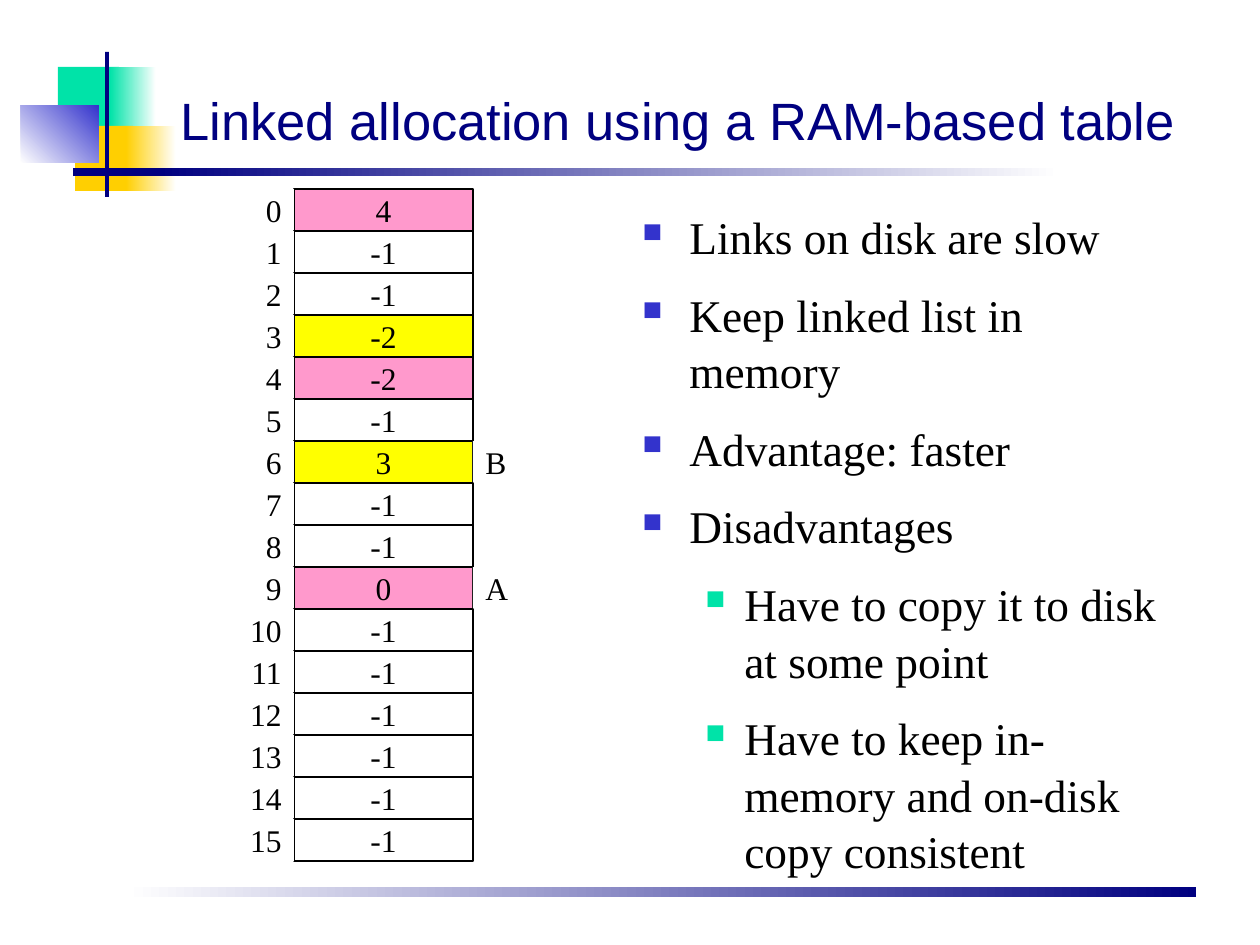
from lxml import etree
from pptx import Presentation
from pptx.dml.color import RGBColor
from pptx.enum.shapes import MSO_SHAPE
from pptx.enum.text import MSO_ANCHOR as Anchor, PP_ALIGN as Align
from pptx.oxml.ns import qn
from pptx.util import Pt

PX = 914400 / 126

WHITE = RGBColor(0xFF, 0xFF, 0xFF)
BLACK = RGBColor(0x00, 0x00, 0x00)
NAVY = RGBColor(0x00, 0x00, 0x80)
BLUE = RGBColor(0x33, 0x33, 0xCC)
GREEN = RGBColor(0x00, 0xE3, 0xA8)
GOLD = RGBColor(0xFF, 0xCF, 0x01)
PINK = RGBColor(0xFF, 0x99, 0xCC)
YELLOW = RGBColor(0xFF, 0xFF, 0x00)

prs = Presentation()
prs.slide_width, prs.slide_height = round(1260 * PX), round(945 * PX)
slide = prs.slides.add_slide(prs.slide_layouts[6])


def add_block(box, color, fade_to=None, angle=0, outline=None):
    """Rectangle in one colour, or fading from color to fade_to."""
    block = slide.shapes.add_shape(MSO_SHAPE.RECTANGLE, *(round(v * PX) for v in box))
    block.shadow.inherit = False
    if fade_to is None:
        block.fill.solid()
        block.fill.fore_color.rgb = color
    else:
        block.fill.gradient()
        block.fill.gradient_angle = angle
        for stop, stop_color in zip(block.fill.gradient_stops, (color, fade_to)):
            stop.color.rgb = stop_color
    if outline is None:
        block.line.fill.background()
    else:
        block.line.color.rgb = outline
        block.line.width = Pt(0.75)
    return block


def write(frame, text, font="Times New Roman", size=18, color=BLACK, align=Align.LEFT,
          anchor=Anchor.MIDDLE, wrap=False, bullet=None, indent=(0, 0), gap=0, spacing=None):
    """Add one paragraph, filling the empty first one if there is one."""
    frame.word_wrap = wrap
    frame.vertical_anchor = anchor
    first = not frame.text
    para = frame.paragraphs[0] if first else frame.add_paragraph()
    if bullet is not None:
        props = para._p.get_or_add_pPr()
        props.set("marL", str(round(indent[0] * PX)))
        props.set("indent", str(round(indent[1] * PX)))
        bullet_color = etree.SubElement(props, qn("a:buClr"))
        etree.SubElement(bullet_color, qn("a:srgbClr")).set("val", str(bullet))
        etree.SubElement(props, qn("a:buSzPct")).set("val", "60000")
        etree.SubElement(props, qn("a:buChar")).set("char", "■")
    para.alignment = align
    if spacing:
        para.line_spacing = spacing
    if gap:
        para.space_after = Pt(gap)
        if not first:
            para.space_before = Pt(gap)
    run = para.add_run()
    run.text = text
    run.font.name, run.font.size, run.font.color.rgb = font, Pt(size), color


# Corner ornament and rules
add_block((126, 887, 1070, 10), WHITE, fade_to=NAVY)
add_block((58, 67, 61, 66), GREEN)
add_block((110, 67, 46, 66), GREEN, fade_to=WHITE)
add_block((75, 126, 58, 65), GOLD)
add_block((126, 126, 50, 65), GOLD, fade_to=WHITE)
add_block((21, 105, 78, 58), WHITE, fade_to=BLUE, angle=45)
add_block((105, 52, 4, 145), NAVY)
add_block((73, 168, 95, 8), NAVY)
add_block((158, 168, 902, 8), NAVY, fade_to=WHITE)

# Allocation table: index, next block, and the files' starting blocks
next_blocks = [4, -1, -1, -2, -2, -1, 3, -1, -1, 0] + [-1] * 6
file_colors = {0: PINK, 4: PINK, 9: PINK, 3: YELLOW, 6: YELLOW}
file_starts = {6: "B", 9: "A"}
TOP, ROW = 189, 42
for index, next_block in enumerate(next_blocks):
    y = TOP + index * ROW
    entry = add_block((294, y, 179, ROW), file_colors.get(index, WHITE), outline=BLACK)
    write(entry.text_frame, str(next_block), align=Align.CENTER)
    number = add_block((210, y, 84, ROW), WHITE)
    write(number.text_frame, str(index), align=Align.RIGHT)
    if index in file_starts:
        file_name = add_block((473, y, 84, ROW), WHITE)
        write(file_name.text_frame, file_starts[index])

# Title
title = slide.shapes.add_textbox(*(round(v * PX) for v in (168, 73, 1071, 84)))
write(title.text_frame, "Linked allocation using a RAM-based table", font="Arial",
      size=30, color=NAVY, anchor=Anchor.BOTTOM, wrap=True)

# Points
points = [
    (0, "Links on disk are slow"),
    (0, "Keep linked list in memory"),
    (0, "Advantage: faster"),
    (0, "Disadvantages"),
    (1, "Have to copy it to disk at some point"),
    (1, "Have to keep in-memory and on-disk copy consistent"),
]
level_styles = [(BLUE, (47, -47)), (GREEN, (102, -39))]
body = slide.shapes.add_textbox(*(round(v * PX) for v in (630, 201, 549, 682)))
for level, point in points:
    bullet, indent = level_styles[level]
    write(body.text_frame, point, size=25.9, anchor=Anchor.TOP, wrap=True,
          bullet=bullet, indent=indent, gap=6, spacing=1.04)

prs.save("out.pptx")
